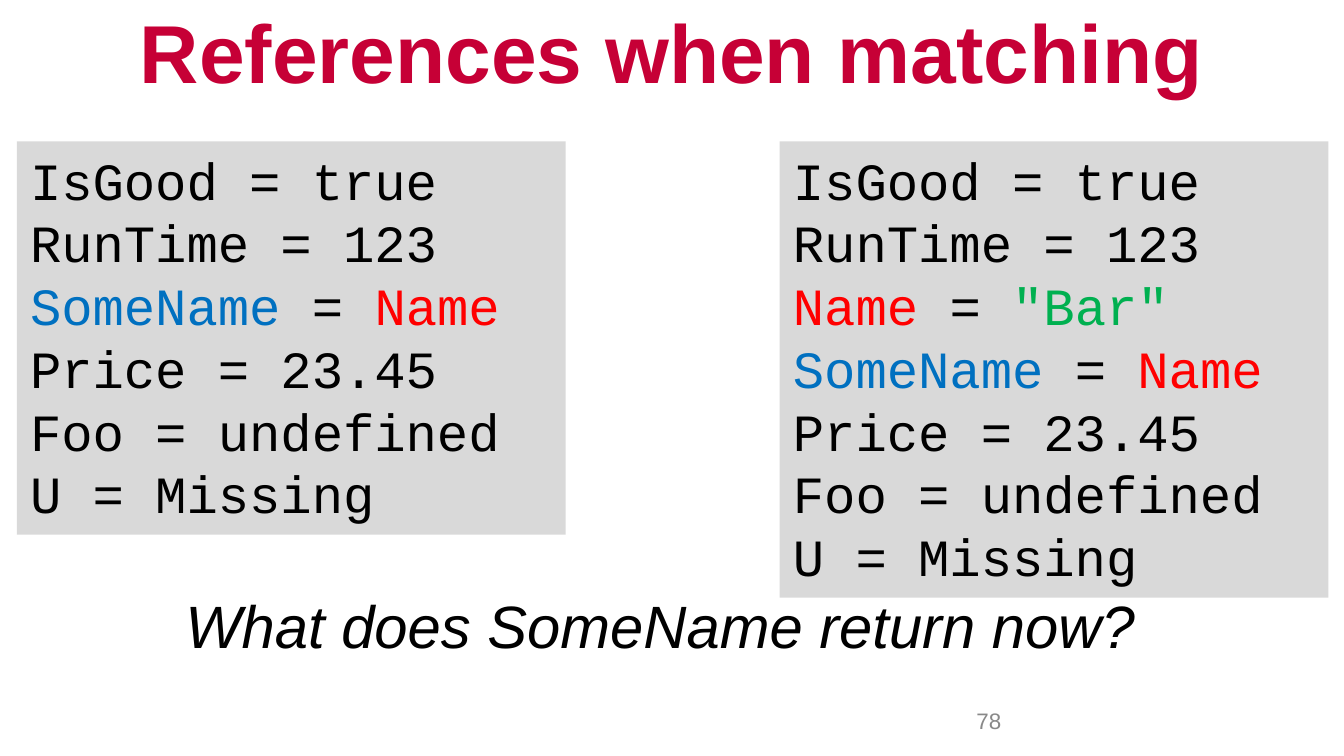
from dataclasses import dataclass

from pptx import Presentation
from pptx.dml.color import RGBColor
from pptx.enum.shapes import MSO_SHAPE
from pptx.enum.text import MSO_ANCHOR, PP_ALIGN
from pptx.slide import Slide
from pptx.text.text import TextFrame, _Run
from pptx.util import Pt

EMU_PER_PX = 9525
BLACK = "000000"
BLUE = "0070C0"
RED = "FF0000"
GREEN = "00B050"
PANEL_GRAY = "D9D9D9"


@dataclass
class Span:
    text: str
    color: str = BLACK


@dataclass
class Label:
    text: str
    left: int
    top: int
    width: int
    height: int
    size: int
    color: str
    bold: bool = False
    italic: bool = False
    align: PP_ALIGN = PP_ALIGN.LEFT
    anchor: MSO_ANCHOR = MSO_ANCHOR.TOP
    space_before: int = 0


@dataclass
class CodePanel:
    left: int
    height: int
    lines: list[list[Span]]


def px(length: int) -> int:
    return length * EMU_PER_PX


def rgb(color: str) -> RGBColor:
    return RGBColor.from_string(color)


def style_run(run: _Run, font: str, size: int, color: str) -> None:
    run.font.name = font
    run.font.size = Pt(size)
    run.font.color.rgb = rgb(color)


def draw_label(page: Slide, label: Label) -> None:
    box = page.shapes.add_textbox(
        px(label.left), px(label.top), px(label.width), px(label.height)
    )
    frame = box.text_frame
    frame.word_wrap = True
    frame.vertical_anchor = label.anchor
    frame.text = label.text
    para = frame.paragraphs[0]
    para.alignment = label.align
    para.space_before = Pt(label.space_before)
    run = para.runs[0]
    style_run(run, "Arial", label.size, label.color)
    run.font.bold = label.bold
    run.font.italic = label.italic


def write_code(frame: TextFrame, lines: list[list[Span]]) -> None:
    for index, spans in enumerate(lines):
        para = frame.paragraphs[0] if index == 0 else frame.add_paragraph()
        para.alignment = PP_ALIGN.LEFT
        para.line_spacing = Pt(33.6)
        for span in spans:
            run = para.add_run()
            run.text = span.text
            style_run(run, "Courier New", 28, span.color)


def draw_panel(page: Slide, panel: CodePanel) -> None:
    box = page.shapes.add_shape(
        MSO_SHAPE.RECTANGLE, px(panel.left), px(101), px(392), px(panel.height)
    )
    box.shadow.inherit = False
    box.fill.solid()
    box.fill.fore_color.rgb = rgb(PANEL_GRAY)
    box.line.fill.background()
    frame = box.text_frame
    frame.word_wrap = True
    frame.vertical_anchor = MSO_ANCHOR.TOP
    write_code(frame, panel.lines)


OPENING = [[Span("IsGood = true")], [Span("RunTime = 123")]]
NAME_BINDING = [Span("Name", RED), Span(" = "), Span('"Bar"', GREEN)]
REFERENCE = [Span("SomeName", BLUE), Span(" = "), Span("Name", RED)]
CLOSING = [[Span("Price = 23.45")], [Span("Foo = undefined")], [Span("U = Missing")]]

LABELS = [
    Label("What does SomeName return now?", 123, 416, 736, 292, 32, BLACK,
          italic=True, space_before=4),
    Label("References when matching", 0, 0, 960, 72, 44, "C60036",
          bold=True, align=PP_ALIGN.CENTER, anchor=MSO_ANCHOR.MIDDLE),
    Label("78", 688, 500, 224, 29, 12, "898989", anchor=MSO_ANCHOR.MIDDLE),
]
PANELS = [
    CodePanel(12, 281, [*OPENING, REFERENCE, *CLOSING]),
    CodePanel(557, 326, [*OPENING, NAME_BINDING, REFERENCE, *CLOSING]),
]


def main() -> None:
    deck = Presentation()
    deck.slide_width = px(960)
    deck.slide_height = px(540)
    page = deck.slides.add_slide(deck.slide_layouts[6])
    for label in LABELS:
        draw_label(page, label)
    for panel in PANELS:
        draw_panel(page, panel)
    deck.save("out.pptx")


if __name__ == "__main__":
    main()
